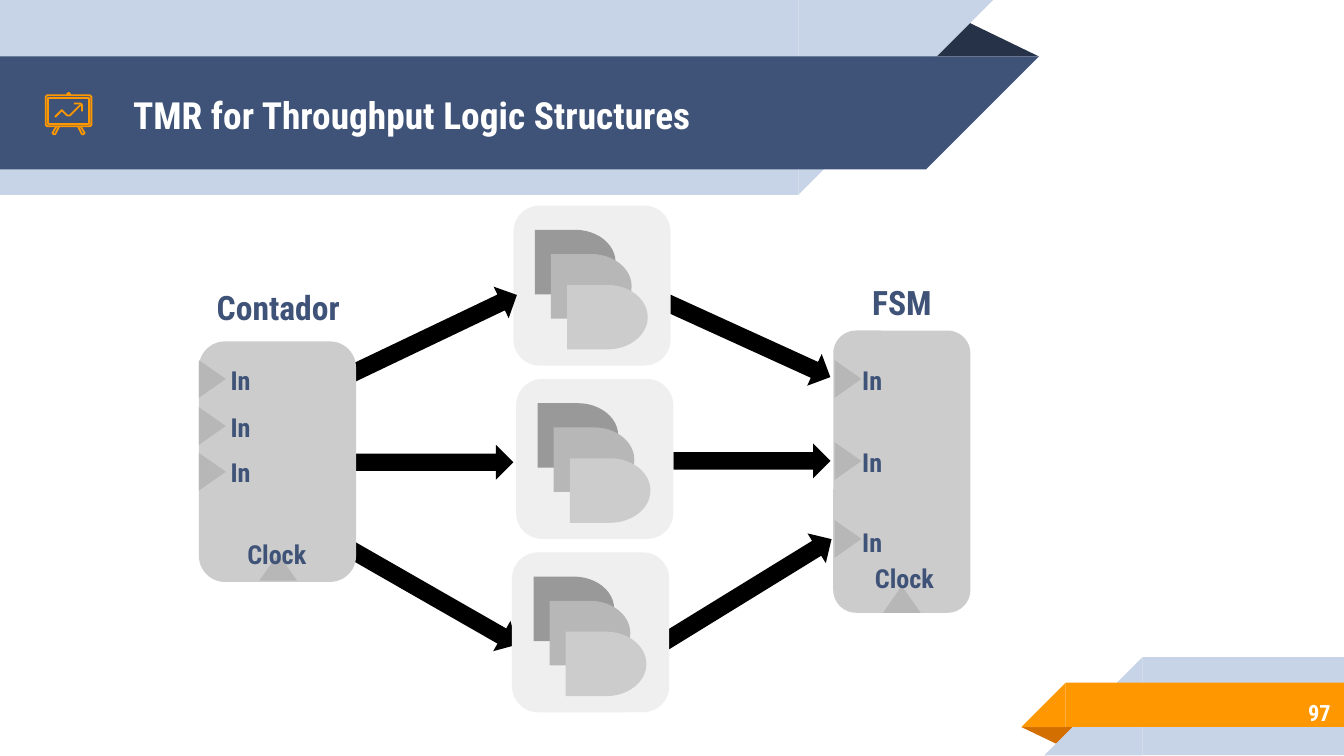
from pptx import Presentation
from pptx.dml.color import RGBColor
from pptx.enum.shapes import MSO_SHAPE as Shape
from pptx.enum.text import MSO_ANCHOR as Anchor, MSO_AUTO_SIZE as AutoSize, PP_ALIGN as Align
from pptx.util import Inches, Pt

FONT = "Roboto Condensed"
WHITE = RGBColor(0xFF, 0xFF, 0xFF)
BLACK = RGBColor(0, 0, 0)
NAVY = RGBColor(0x3F, 0x53, 0x78)
DARK_NAVY = RGBColor(0x26, 0x32, 0x48)
PALE_BLUE = RGBColor(0xC7, 0xD3, 0xE6)
ORANGE = RGBColor(0xFF, 0x98, 0x00)
DARK_ORANGE = RGBColor(0xD2, 0x6F, 0x00)
LIGHT = RGBColor(0xEF, 0xEF, 0xEF)
SILVER = RGBColor(0xCC, 0xCC, 0xCC)
GREY = RGBColor(0xB7, 0xB7, 0xB7)
DARK_GREY = RGBColor(0x99, 0x99, 0x99)

TITLE = "TMR for Throughput Logic Structures"
PAGE_NUMBER = "97"

# Folded corners: box, rotation, colour
FOLDS = [((6.88, 0.14, 0.85, 0.28), 0, DARK_NAVY), ((7.6, 5.41, 0.43, 0.14), 180, DARK_ORANGE)]
# Ribbons: left, top, width, height, colour; the slanted end is as wide as it is high
TOP_RIBBONS = [(0, 0, 5.94, 1.45, PALE_BLUE), (0, 0.42, 6.89, 0.84, NAVY)]
BOTTOM_RIBBONS = [(8.5, 4.89, 1.5, 0.73, PALE_BLUE), (7.93, 5.08, 2.07, 0.33, ORANGE)]

# Presentation board icon: points, closed
ICON = [
    ([(0.35, 0.71), (0.67, 0.71), (0.68, 0.72), (0.68, 0.93), (0.67, 0.94),
      (0.35, 0.94), (0.34, 0.93), (0.34, 0.72)], True),
    ([(0.36, 0.73), (0.66, 0.73), (0.66, 0.92), (0.36, 0.92)], True),
    ([(0.5, 0.71), (0.5, 0.7), (0.51, 0.69), (0.52, 0.7), (0.52, 0.71)], False),
    ([(0.42, 0.94), (0.39, 0.99), (0.4, 1), (0.41, 1), (0.44, 0.94)], False),
    ([(0.58, 0.94), (0.61, 1), (0.62, 1), (0.63, 0.99), (0.6, 0.94)], False),
    ([(0.6, 0.78), (0.52, 0.86), (0.5, 0.86), (0.46, 0.82), (0.41, 0.87)], False),
    ([(0.55, 0.77), (0.6, 0.77), (0.61, 0.78), (0.61, 0.83)], False),
]

# Arrows: left, top, width, rotation
ARROW_HEIGHT = 0.26
OUTGOING = [(4.78, 4.28, 1.52, 328.4), (4.86, 2.39, 1.38, 24.5), (5.01, 3.3, 1.17, 0)]
INCOMING = [(2.39, 4.28, 1.56, 29.8), (2.41, 2.39, 1.51, 334.5), (2.65, 3.31, 1.17, 0)]

REPLICAS = [(3.82, 1.53), (3.84, 2.82), (3.81, 4.11)]
REPLICA_SIZE = (1.17, 1.19)
GATE_SIZE = (0.6, 0.48)
GATES = [(0.16, 0.18, DARK_GREY), (0.28, 0.36, GREY), (0.4, 0.59, SILVER)]  # offsets in a replica

PIN_WIDTH, PIN_HEIGHT = 0.28, 0.2
IN_SIZE = (0.4, 0.35)
BLOCKS = [
    {"name": "Contador", "name_box": (1.23, 2.11, 1.68, 0.35), "body": (1.48, 2.54, 1.17, 1.79),
     "clock_pin": (1.93, 4.12), "clock_box": (1.7, 3.88, 0.72, 0.49),
     "pin_left": 1.44, "in_left": 1.59, "inputs": [(2.72, 2.65), (3.07, 3), (3.41, 3.34)]},
    {"name": "FSM", "name_box": (5.85, 2.07, 1.72, 0.35), "body": (6.2, 2.46, 1.02, 2.1),
     "clock_pin": (6.57, 4.36), "clock_box": (6.37, 4.11, 0.72, 0.38),
     "pin_left": 6.17, "in_left": 6.29, "inputs": [(2.72, 2.65), (3.33, 3.26), (3.91, 3.86)]},
]

deck = Presentation()
deck.slide_width = Inches(10)
deck.slide_height = deck.slide_width * 9 // 16
slide = deck.slides.add_slide(deck.slide_layouts[5])
shapes = slide.shapes


def set_all(target, values):
    for key, value in values.items():
        setattr(target, key, value)


def add_filled(kind, box, color, rotation=0, adjustment=None):
    part = shapes.add_shape(kind, *map(Inches, box))
    part.shadow.inherit = False
    part.fill.solid()
    part.fill.fore_color.rgb = color
    part.line.fill.background()
    part.rotation = rotation
    if adjustment is not None:
        part.adjustments[0] = adjustment


def write(holder, text, size, color=NAVY, align=Align.CENTER):
    frame = holder.text_frame
    set_all(frame, {"text": text, "word_wrap": True, "auto_size": AutoSize.NONE,
                    "vertical_anchor": Anchor.MIDDLE}
            | dict.fromkeys(("margin_left", "margin_top", "margin_right", "margin_bottom"),
                            Inches(0.1)))
    paragraph = frame.paragraphs[0]
    paragraph.alignment = align
    font = paragraph.runs[0].font
    set_all(font, {"name": FONT, "size": Pt(size), "bold": True})
    font.color.rgb = color


def add_label(box, text, size, **style):
    write(shapes.add_textbox(*map(Inches, box)), text, size, **style)


def add_ribbon(left, top, width, height, color, slant_left, rotation):
    add_filled(Shape.RECTANGLE, (left, top, width, height), color)
    add_filled(Shape.RIGHT_TRIANGLE, (slant_left, top, height, height), color, rotation)


def add_arrows(arrows):
    for left, top, width, rotation in arrows:
        add_filled(Shape.RIGHT_ARROW, (left, top, width, ARROW_HEIGHT), BLACK, rotation)


def add_replica(left, top):
    add_filled(Shape.ROUNDED_RECTANGLE, (left, top, *REPLICA_SIZE), LIGHT)
    for dx, dy, color in GATES:
        add_filled(Shape.FLOWCHART_DELAY, (left + dx, top + dy, *GATE_SIZE), color)


def add_pin(left, top, rotation=0):
    add_filled(Shape.ISOSCELES_TRIANGLE, (left, top, PIN_WIDTH, PIN_HEIGHT), GREY, rotation)


def add_block(block):
    add_filled(Shape.ROUNDED_RECTANGLE, block["body"], SILVER)
    add_label(block["name_box"], block["name"], 18)
    add_pin(*block["clock_pin"])
    add_label(block["clock_box"], "Clock", 14)
    for pin_top, in_top in block["inputs"]:
        add_pin(block["pin_left"], pin_top, 90)
        add_label((block["in_left"], in_top, *IN_SIZE), "In", 14)


for box, rotation, color in FOLDS:
    add_filled(Shape.ISOSCELES_TRIANGLE, box, color, rotation, 0.32)
for left, top, width, height, color in TOP_RIBBONS:
    add_ribbon(left, top, width, height, color, left + width, 90)
for left, top, width, height, color in BOTTOM_RIBBONS:
    add_ribbon(left, top, width, height, color, left - height, 270)

title = shapes.title
set_all(title, dict(zip(("left", "top", "width", "height"),
                        map(Inches, (0.89, 0.43, 5.98, 0.84)))))
write(title, TITLE, 20, WHITE, Align.LEFT)
shapes.element.append(title.element)  # in front of the ribbons
add_label((8.37, 5.13, 1.63, 0.35), PAGE_NUMBER, 12, color=WHITE, align=Align.RIGHT)

for points, closed in ICON:
    start, *rest = [(Inches(x), Inches(y)) for x, y in points]
    builder = shapes.build_freeform(*start)
    builder.add_line_segments(rest, close=closed)
    stroke = builder.convert_to_shape()
    stroke.shadow.inherit = False
    stroke.fill.background()
    stroke.line.color.rgb = ORANGE
    stroke.line.width = Pt(0.96)

# The upper replica lies behind the incoming arrows, the others in front
add_arrows(OUTGOING)
add_replica(*REPLICAS[0])
add_arrows(INCOMING)
for block in BLOCKS:
    add_block(block)
for corner in REPLICAS[1:]:
    add_replica(*corner)

deck.save("out.pptx")
